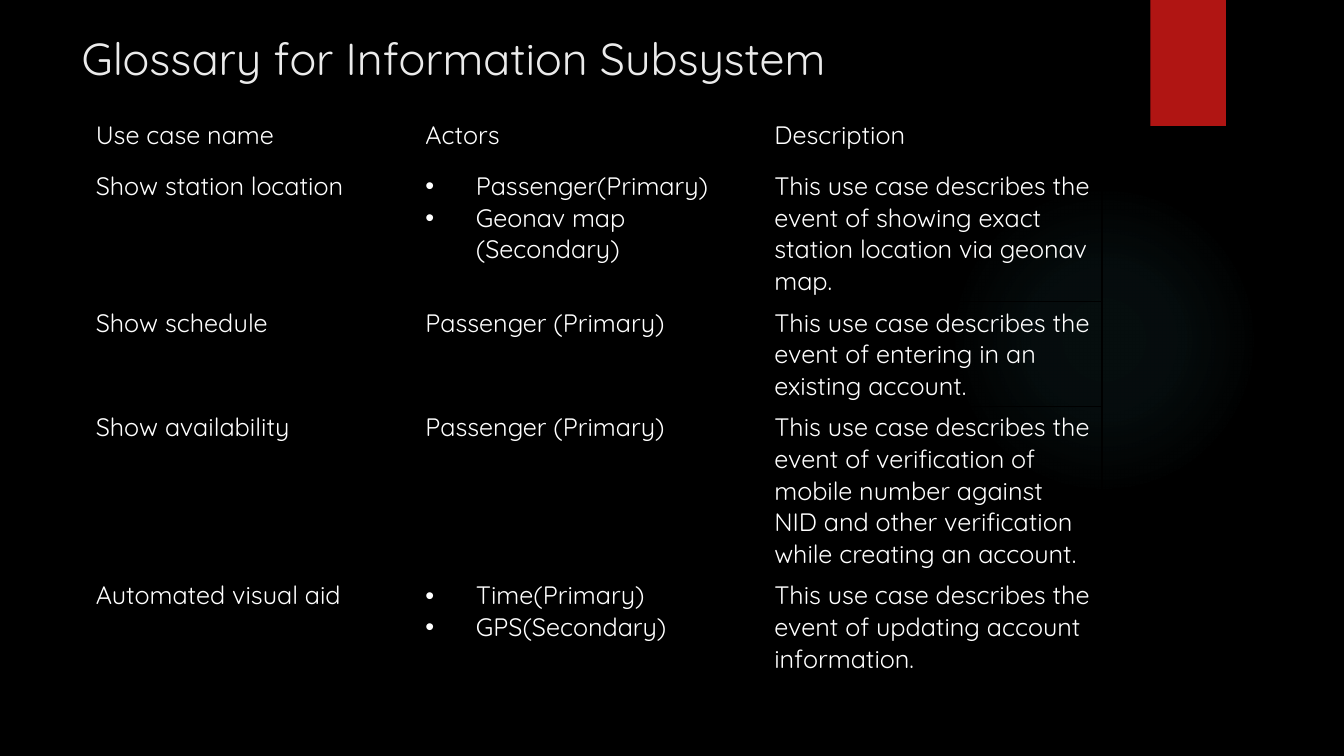
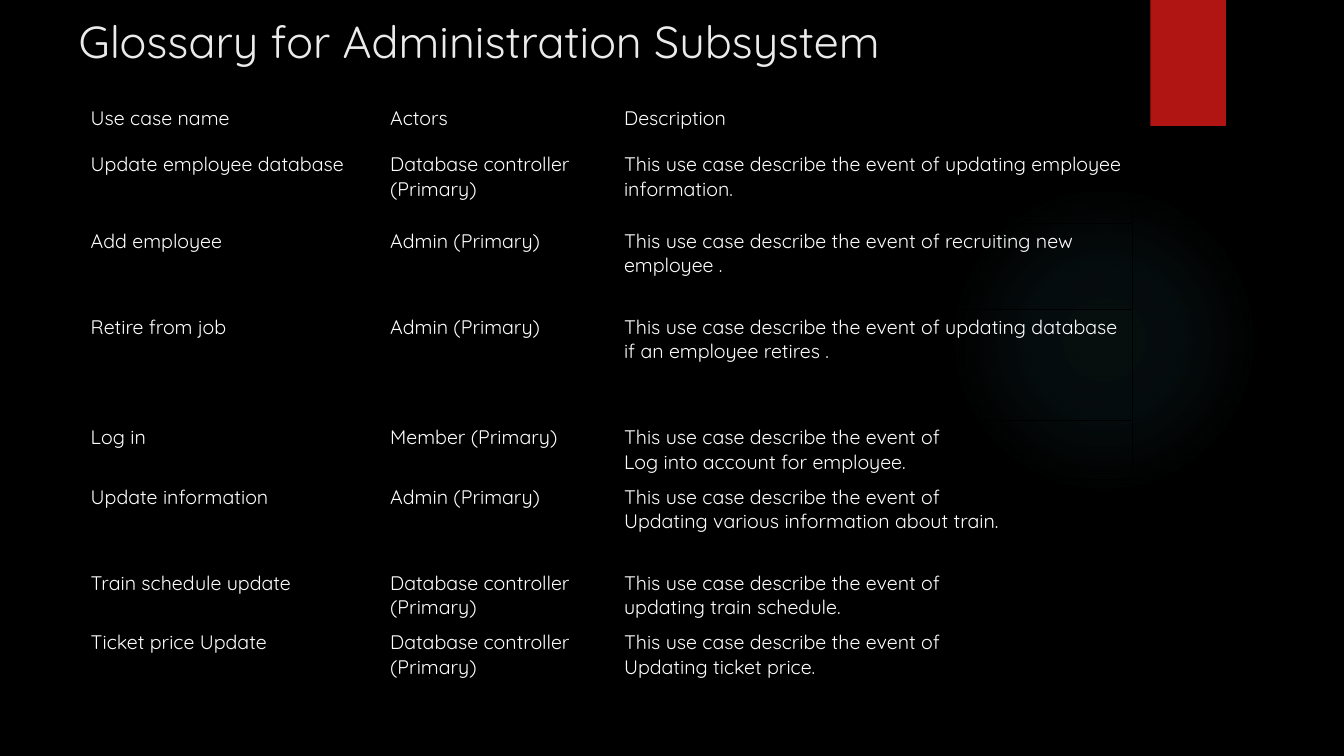
from lxml import etree
from pptx import Presentation
from pptx.dml.color import RGBColor
from pptx.enum.shapes import MSO_SHAPE
from pptx.enum.text import MSO_ANCHOR, PP_ALIGN
from pptx.oxml import parse_xml
from pptx.oxml.ns import qn
from pptx.util import Inches, Pt

OVAL, RECT = MSO_SHAPE.OVAL, MSO_SHAPE.RECTANGLE
TOP, LEFT = MSO_ANCHOR.TOP, PP_ALIGN.LEFT
FONT = "Quicksand"
BLACK, WHITE, PALE = "000000", "FFFFFF", "EBEBEB"
RED, TEAL = "B01513", "50B9C1"
NS = 'xmlns:a="http://schemas.openxmlformats.org/drawingml/2006/main"'
HEAD = ("Use case name", "Actors", "Description")
BULLET = "•"


def color(text):
    return RGBColor.from_string(text)


def tint(text, alpha):
    return f'<a:srgbClr val="{text}"><a:alpha val="{alpha * 1000}"/></a:srgbClr>'


class Deck:
    def __init__(self):
        self.prs = Presentation()
        self.prs.slide_width = Inches(13.33)
        self.prs.slide_height = Inches(7.5)
        self.layout = self.prs.slide_layouts[5]
        self.slide = None

    def style(self, font, size, ink):
        for key, value in {"name": FONT, "size": Pt(size), "bold": False}.items():
            setattr(font, key, value)
        font.color.rgb = color(ink)

    def backdrop(self):
        """Give the layout its ground, glow and band."""
        fill = self.layout.background.fill
        fill.solid()
        fill.fore_color.rgb = color(BLACK)
        glow = self.shape(OVAL, 9.41, 1.83, 3.08, 3.08)
        stops = "".join(f'<a:gs pos="{pos * 1000}">{tint(TEAL, alpha)}</a:gs>'
                        for pos, alpha in ((0, 7), (36, 6), (69, 0)))
        grad = parse_xml(
            f'<a:gradFill {NS}><a:gsLst>{stops}</a:gsLst><a:path path="circle">'
            '<a:fillToRect l="50000" t="50000" r="50000" b="50000"/>'
            '</a:path></a:gradFill>')
        props = glow._element.spPr
        props.replace(props.find(qn("a:noFill")), grad)
        band = self.shape(RECT, 11.41, 0, 0.75, 1.25)
        band.fill.solid()
        band.fill.fore_color.rgb = color(RED)
        shade = parse_xml(
            f'<a:outerShdw {NS} blurRad="{Pt(3)}" dist="{Pt(2)}" dir="5400000">'
            f'{tint(BLACK, 45)}</a:outerShdw>')
        band._element.spPr.find(qn("a:effectLst")).append(shade)
        # The layout carries both shapes, behind its placeholders
        tree = self.layout.shapes._spTree
        for spot, item in enumerate((glow, band), 2):
            tree.insert(spot, item._element)

    def shape(self, kind, *box):
        shape = self.slide.shapes.add_shape(kind, *map(Inches, box))
        shape.fill.background()
        shape.line.fill.background()
        shape.shadow.inherit = False
        return shape

    def page(self, title, *box):
        self.slide = self.prs.slides.add_slide(self.layout)
        head = self.slide.shapes.title
        for key, value in zip(("left", "top", "width", "height"), box):
            setattr(head, key, Inches(value))
        frame = head.text_frame
        frame.text = title
        frame.vertical_anchor = TOP
        frame.word_wrap = True
        para = frame.paragraphs[0]
        para.alignment = LEFT
        self.style(para.runs[0].font, 32, PALE)

    def table(self, left, top, cols, rows, size, data):
        grid = [HEAD, *data]
        table = self.slide.shapes.add_table(
            len(rows), len(cols), Inches(left), Inches(top),
            Inches(sum(cols)), Inches(sum(rows))).table
        table.first_row = table.horz_banding = False
        for col, width in zip(table.columns, cols):
            col.width = Inches(width)
        for row, height, texts in zip(table.rows, rows, grid):
            row.height = Inches(height)
            for cell, text in zip(row.cells, texts):
                self.cell(cell, text, size)

    def cell(self, cell, text, size):
        cell.fill.background()
        cell.vertical_anchor = TOP
        cell.text = text.replace(BULLET, "")
        for para, line in zip(cell.text_frame.paragraphs, text.split("\n")):
            self.style(para.runs[0].font, size, WHITE)
            if line.startswith(BULLET):
                self.bullet(para)
        props = cell._tc.get_or_add_tcPr()
        for spot, side in enumerate("LRTB"):
            props.insert(spot, parse_xml(
                f'<a:ln{side} {NS} w="{Pt(1)}"><a:solidFill>'
                f'<a:srgbClr val="{BLACK}"/></a:solidFill></a:ln{side}>'))

    def bullet(self, para):
        props = para._p.get_or_add_pPr()
        indent = Inches(0.5)
        props.set("marL", str(indent))
        props.set("indent", str(-indent))
        etree.SubElement(props, qn("a:buFont")).set("typeface", "Arial")
        etree.SubElement(props, qn("a:buChar")).set("char", BULLET)


def main():
    deck = Deck()
    event = "This use case describes the event of "
    task = "This use case describe the event of"
    user = "Passenger (Primary)"
    admin = "Admin (Primary)"
    data = "Database controller (Primary)"

    # Information subsystem
    deck.page("Glossary for Information Subsystem", 0.71, 0.25, 10.94, 1.17)
    deck.backdrop()
    deck.table(0.85, 1.13, (3.27, 3.46, 3.35), (0.51, 1.1, 0.94, 1.23, 1.39), 18, [
        ("Show station location",
         "•Passenger(Primary)\n•Geonav map (Secondary)",
         event + "showing exact station location via geonav map."),
        ("Show schedule", user, event + "entering in an existing account."),
        ("Show availability", user,
         event + "verification of mobile number against NID and other "
         "verification while creating an account."),
        ("Automated visual aid", "•Time(Primary)\n•GPS(Secondary)",
         event + "updating account information."),
    ])

    # Administration subsystem
    deck.page("Glossary for Administration Subsystem", 0.68, 0.09, 11.5, 1.45)
    deck.table(0.8, 1, (2.97, 2.32, 5.14),
               (0.46, 0.76, 0.85, 1.1, 0.59, 0.85, 0.59, 0.59), 14, [
        ("Update employee database", data, task + " updating employee information."),
        ("Add employee", admin, task + " recruiting new employee ."),
        ("Retire from job", admin,
         task + " updating database if an employee retires ."),
        ("Log in", "Member (Primary)", task + "\nLog into account for employee."),
        ("Update information", admin,
         task + "\nUpdating various information about train."),
        ("Train schedule update", data, task + "\nupdating train schedule."),
        ("Ticket price Update", data, task + "\nUpdating ticket price."),
    ])
    deck.prs.save("out.pptx")


if __name__ == "__main__":
    main()
